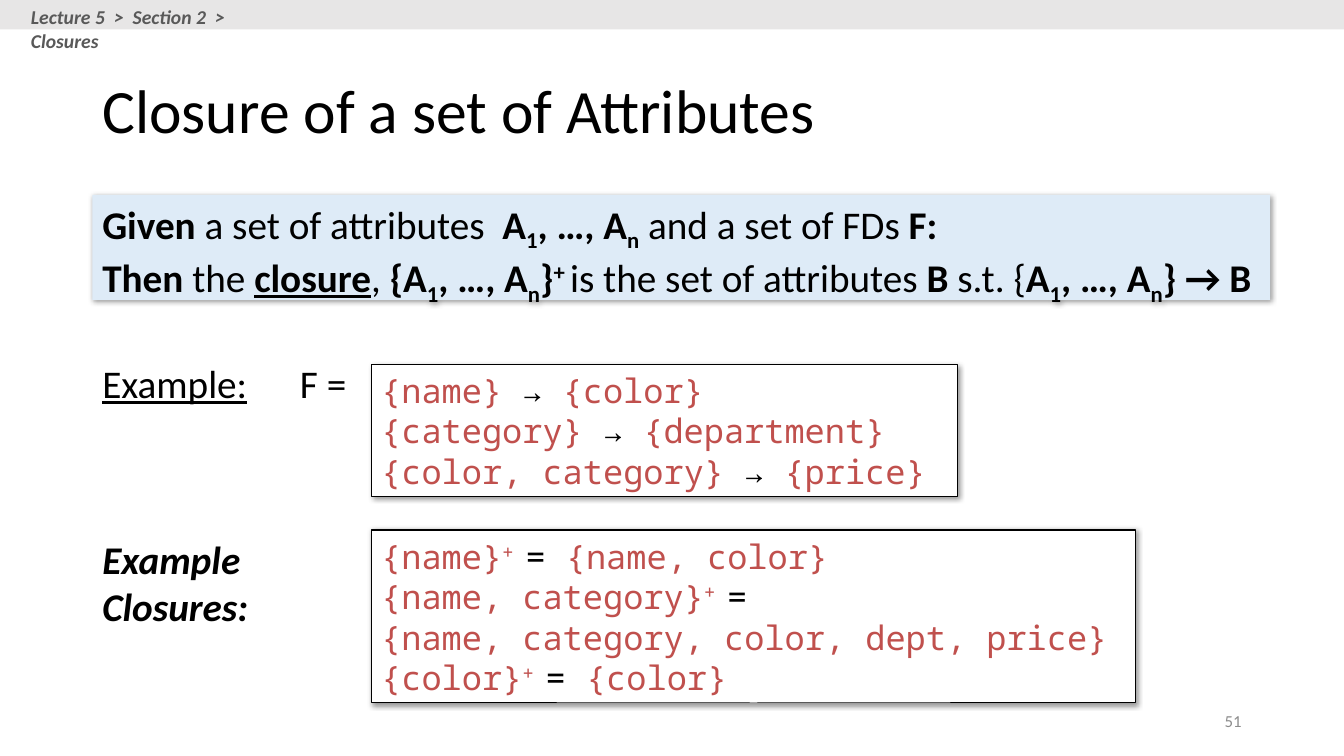
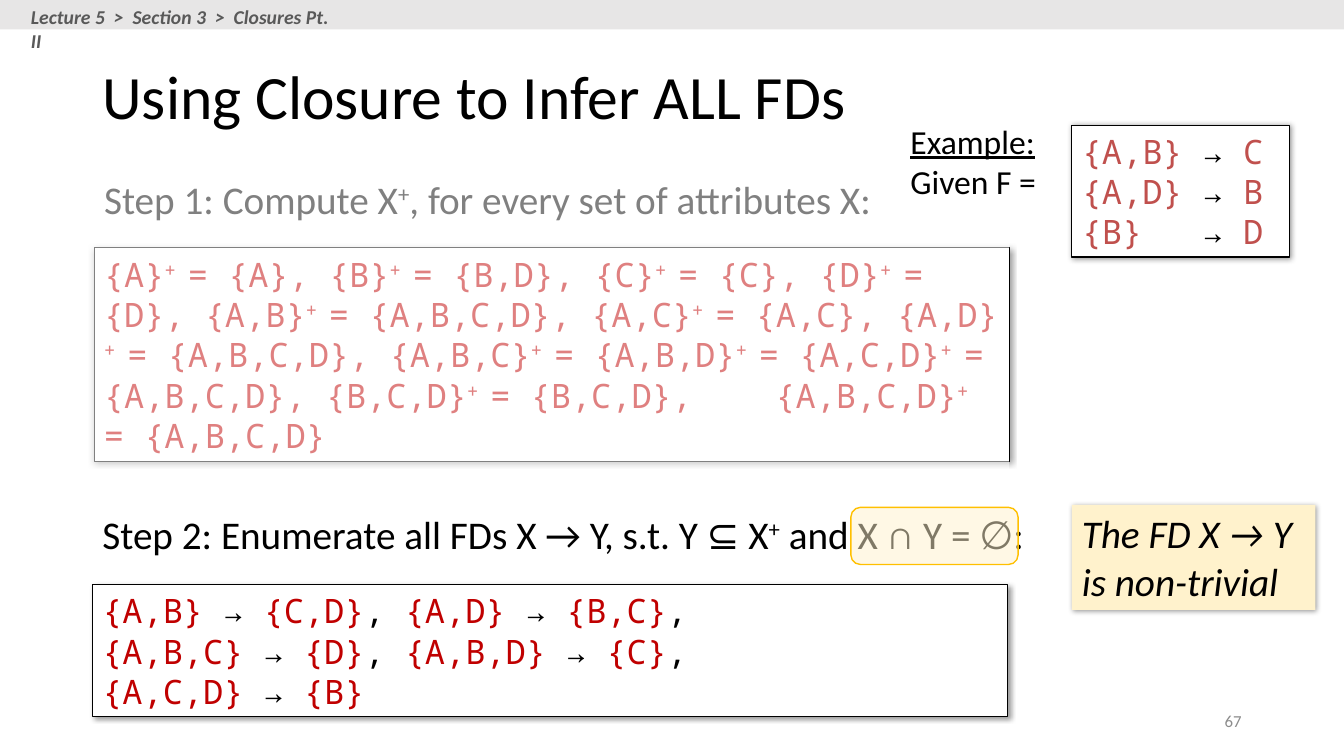
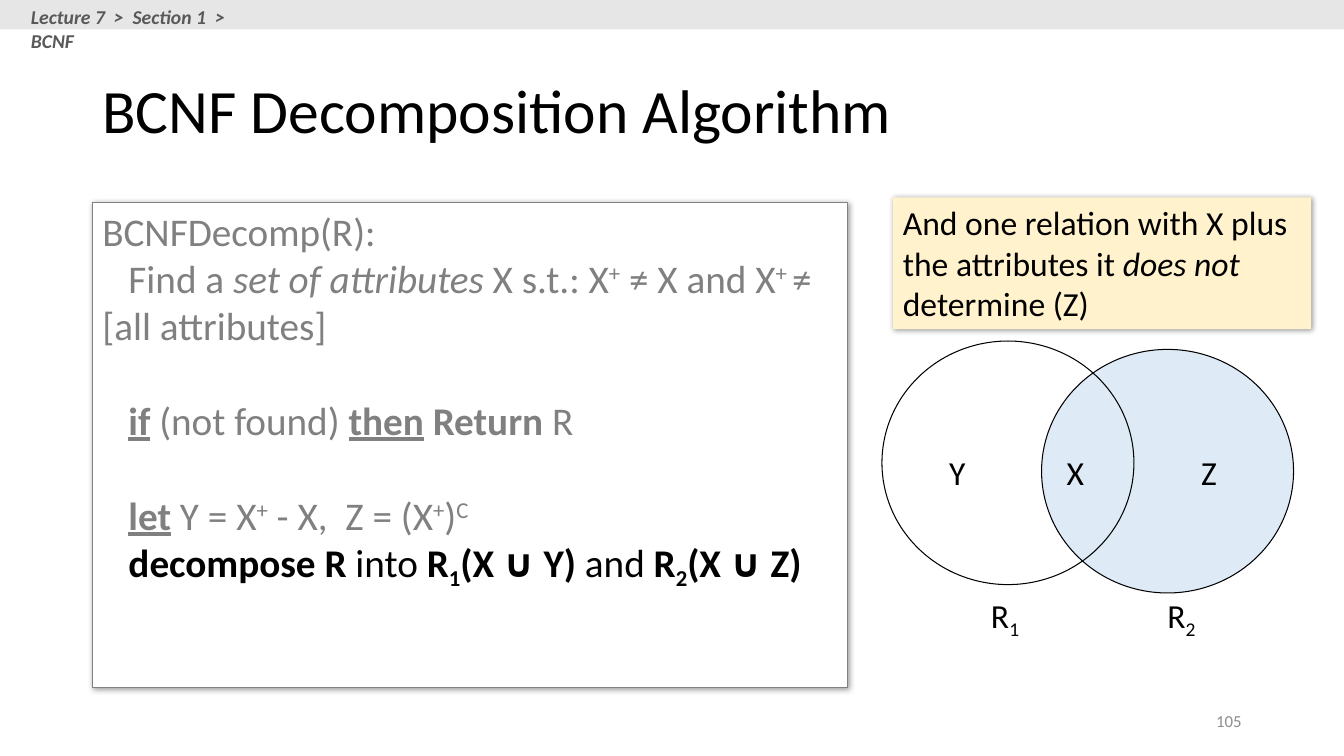
from dataclasses import dataclass
from typing import Iterator, Optional

import lxml.etree
import pptx
import pptx.dml.color
import pptx.enum.shapes
import pptx.enum.text
import pptx.oxml
import pptx.oxml.ns
import pptx.util

COLORS = {
    "black": "000000",
    "white": "FFFFFF",
    "band": "E7E6E6",
    "crumb": "595959",
    "number": "8C8C8C",
    "muted": "808080",
    "code": "C0504D",
    "result": "C00000",
    "definition": "DEEBF7",
    "note": "FFF2CC",
    "gold": "FFC000",
}
SANS = "Calibri"
MONO = "Noto Sans Mono"
COLUMNS, ROWS = 160, 90
WIDTH, HEIGHT = pptx.util.Inches(13.33), pptx.util.Inches(7.5)
MARGIN = 11
CODE_LEFT = 44.2
ASIDE_LEFT = 127.6
INDENT = pptx.util.Inches(0.26)
BLANK_LINE = 34
SPACE_SHARE = 0.225

RECT = pptx.enum.shapes.MSO_SHAPE.RECTANGLE
ROUND = pptx.enum.shapes.MSO_SHAPE.ROUNDED_RECTANGLE
OVAL = pptx.enum.shapes.MSO_SHAPE.OVAL
TOP = pptx.enum.text.MSO_ANCHOR.TOP
MIDDLE = pptx.enum.text.MSO_ANCHOR.MIDDLE
LEFT = pptx.enum.text.PP_ALIGN.LEFT
RIGHT = pptx.enum.text.PP_ALIGN.RIGHT

BOLD, ITALIC, UNDERLINE, SUPER, SUB, ACCENT, WIDE = "*/~^_|%"
TOGGLES = {BOLD, ITALIC, UNDERLINE, SUPER, SUB, ACCENT, WIDE}


@dataclass(frozen=True)
class Line:
    markup: str
    indented: bool = False
    before: float = 0
    tab: float = 0


@dataclass(frozen=True)
class Box:
    left: float
    top: float
    width: float
    height: float
    lines: tuple[Line, ...] = ()
    size: float = 28
    font: str = SANS
    color: str = "black"
    accent: str = "black"
    fill: Optional[str] = None
    opacity: int = 100
    border: Optional[str] = None
    border_width: float = 0.75
    shape: Optional[int] = None
    shadow: bool = False
    anchor: int = TOP
    align: int = LEFT


@dataclass(frozen=True)
class Page:
    title: str
    title_top: float
    trail: tuple[str, ...]
    trail_width: float
    number: str
    boxes: tuple[Box, ...]


def spans(markup: str) -> Iterator[tuple[str, frozenset]]:
    active, text = frozenset(), ""
    for letter in markup:
        if letter in TOGGLES:
            if text:
                yield text, active
            active, text = active ^ {letter}, ""
        else:
            text += letter
    if text:
        yield text, active


def rgb(name: str) -> pptx.dml.color.RGBColor:
    return pptx.dml.color.RGBColor.from_string(COLORS[name])


def area(left: float, top: float, width: float, height: float) -> tuple[int, ...]:
    return (int(WIDTH * left / COLUMNS), int(HEIGHT * top / ROWS),
            int(WIDTH * width / COLUMNS), int(HEIGHT * height / ROWS))


def add_child(parent, tag: str, **attributes):
    child = lxml.etree.SubElement(parent, pptx.oxml.ns.qn(tag))
    for name, value in attributes.items():
        child.set(name, str(value))
    return child


def add_shadow(shape) -> None:
    effects = shape._element.spPr.find(pptx.oxml.ns.qn("a:effectLst"))
    outer = add_child(effects, "a:outerShdw", blurRad=pptx.util.Pt(4),
                      dist=pptx.util.Pt(1), dir=45 * 60000, algn="tl", rotWithShape=0)
    color = add_child(outer, "a:srgbClr", val=COLORS["black"])
    add_child(color, "a:alpha", val=40000)


def write_line(para, line: Line, box: Box) -> None:
    properties = para._p.get_or_add_pPr()
    if line.indented:
        properties.set("marL", "0")
        properties.set("indent", str(INDENT))
    if line.tab:
        stops = add_child(properties, "a:tabLst")
        add_child(stops, "a:tab", pos=pptx.util.Inches(line.tab), algn="l")
    para.alignment = box.align
    if line.before:
        para.space_before = pptx.util.Pt(line.before)
    para.font.name = box.font
    para.font.size = pptx.util.Pt(box.size)
    for text, style in spans(line.markup):
        span = para.add_run()
        span.text = text
        span.font.color.rgb = rgb(box.accent if ACCENT in style else box.color)
        if BOLD in style:
            span.font.bold = True
        if ITALIC in style:
            span.font.italic = True
        if UNDERLINE in style:
            span.font.underline = True
        run_properties = span._r.get_or_add_rPr()
        if SUPER in style:
            run_properties.set("baseline", "30000")
        if SUB in style:
            run_properties.set("baseline", "-25000")
        if WIDE in style:
            run_properties.set("spc", str(round(box.size * SPACE_SHARE * 100)))


def draw_box(slide, box: Box) -> None:
    place = area(box.left, box.top, box.width, box.height)
    if box.shape is None:
        shape = slide.shapes.add_textbox(*place)
    else:
        shape = slide.shapes.add_shape(box.shape, *place)
        shape.shadow.inherit = False
        if box.fill:
            shape.fill.solid()
            shape.fill.fore_color.rgb = rgb(box.fill)
            if box.opacity < 100:
                color = shape._element.spPr.find(".//" + pptx.oxml.ns.qn("a:srgbClr"))
                add_child(color, "a:alpha", val=box.opacity * 1000)
        else:
            shape.fill.background()
        if box.border:
            shape.line.color.rgb = rgb(box.border)
            shape.line.width = pptx.util.Pt(box.border_width)
        else:
            shape.line.fill.background()
        if box.shadow:
            add_shadow(shape)
    frame = shape.text_frame
    frame.word_wrap = True
    frame.vertical_anchor = box.anchor
    for index, line in enumerate(box.lines):
        para = frame.add_paragraph() if index else frame.paragraphs[0]
        write_line(para, line, box)


def label(left: float, top: float, width: float, height: float,
          *markups: str, size: float = 28) -> Box:
    return Box(left, top, width, height, tuple(map(Line, markups)), size)


def code(left: float, top: float, width: float, height: float,
         *lines: Line, color: str = "code") -> Box:
    return Box(left, top, width, height, lines, 24, MONO, color, fill="white",
               border="black", shape=RECT, shadow=True, anchor=MIDDLE)


def panel(left: float, top: float, width: float, height: float, fill: str,
          *markups: str, size: float = 28) -> Box:
    return Box(left, top, width, height, tuple(map(Line, markups)), size,
               fill=fill, shape=RECT, shadow=True)


def veil(left: float, top: float, width: float, height: float) -> Box:
    return Box(left, top, width, height, fill="white", opacity=50, shape=RECT)


def circle(left: float, top: float, fill: Optional[str] = None) -> Box:
    return Box(left, top, 30, 29, fill=fill, border="black", shape=OVAL)


def draw_page(deck, page: Page) -> None:
    slide = deck.slides.add_slide(deck.slide_layouts[5])
    title = slide.shapes.title
    title.left, title.top, title.width, title.height = area(MARGIN, page.title_top, 138, 17.4)
    frame = title.text_frame
    frame.auto_size = pptx.enum.text.MSO_AUTO_SIZE.NONE
    frame.vertical_anchor = MIDDLE
    para = frame.paragraphs[0]
    para.line_spacing = 0.9
    write_line(para, Line(page.title), Box(0, 0, 0, 0, size=44))
    trail = "% %>% %".join(page.trail)
    furniture = (
        Box(0, 0, COLUMNS, 3.5, fill="band", shape=RECT),
        Box(2.5, 0, page.trail_width, 4, (Line(f"*/{trail}"),), 14, color="crumb"),
        Box(113, 83.4, 36, 4.8, (Line(page.number),), 12, color="number",
            anchor=MIDDLE, align=RIGHT),
    )
    for box in page.boxes + furniture:
        draw_box(slide, box)


CLOSURE = Page(
    "Closure of a set of Attributes", 4.8, ("Lecture 5", "Section 2", "Closures"), 34.2, "51",
    (
        panel(MARGIN, 23.2, 140.2, 12.5, "definition",
              "*Given* a set of attributes% %*A_1_, …, A_n_* and a set of FDs *F:",
              "*Then *the *~closure~*, *{A_1_, …, A_n_}^+ ^*is the set of attributes "
              "*B *s.t. {*A_1_, …, A_n_} → B"),
        code(CODE_LEFT, 43.4, 69.8, 15.7,
             Line("{name} |→ |{color}"),
             Line("{category} |→ |{department}"),
             Line("{color, category} |→ |{price}")),
        Box(MARGIN, 42.2, 32, 6.8, (Line("~Example:~\tF =", tab=1.96),)),
        label(MARGIN, 63.1, 22.8, 12.5, "*/Example Closures:"),
        code(CODE_LEFT, 63.1, 91, 20.6,
             Line("{name}^+ ^|= |{name, color}"),
             Line("{name, category}^+ ^|="),
             Line("{name, category, color, dept, price}"),
             Line("{color}^+ ^|= |{color}")),
    ),
)

INFER = Page(
    "Using Closure to Infer ALL FDs", 3.2, ("Lecture 5", "Section 3", "Closures Pt. II"), 38.9, "67",
    (
        code(ASIDE_LEFT, 14.9, 25.9, 15.7,
             Line("{A,B} |→ |C"),
             Line("{A,D} |→| B"),
             Line("{B}\t|→| D", tab=1.2)),
        label(107.2, 13.8, 19, 10.9, "~Example:", "Given F =", size=24),
        code(11.2, 29.5, 109, 25.4,
             Line("{A}^+ ^= {A}, {B}^+ ^= {B,D}, {C}^+ ^= {C}, {D}^+ ^= {D}, "
                  "{A,B}^+ ^= {A,B,C,D}, {A,C}^+ ^= {A,C}, {A,D}^+ ^= {A,B,C,D}, "
                  "{A,B,C}^+ ^= {A,B,D}^+ ^= {A,C,D}^+ ^= {A,B,C,D}, "
                  "{B,C,D}^+ ^= {B,C,D},\t{A,B,C,D}^+ ^= {A,B,C,D}", tab=6.66),
             color="result"),
        veil(8.9, 28.7, 111.2, 27.8),
        label(MARGIN, 60.1, 114, 6.8,
              "Step 2: Enumerate all FDs X → Y, s.t. Y ⊆ X^+^ and X ∩ Y = ∅:"),
        code(MARGIN, 69.6, 109, 15.7,
             Line("{A,B} |→ |{C,D}|, |{A,D} |→ |{B,C}|,"),
             Line("{A,B,C} |→ |{D}|, |{A,B,D} |→ |{C}|,"),
             Line("{A,C,D} |→ |{B}"),
             color="result"),
        Box(101.3, 60.4, 19.9, 6.8, fill="note", opacity=50, border="gold",
            border_width=1, shape=ROUND),
        panel(ASIDE_LEFT, 60.1, 29, 12.5, "note", "/The FD X → Y is non-trivial"),
        label(11.2, 20.3, 95, 6.8, "Step 1: Compute X^+^, for every set of attributes X:"),
        veil(10.2, 19.7, 94.1, 8.3),
    ),
)

DECOMPOSITION = Page(
    "BCNF Decomposition Algorithm", 4.8, ("Lecture 7", "Section 1", "BCNF"), 31.3, "105",
    (
        Box(MARGIN, 24.1, 89.9, 57.7, (
            Line("BCNFDecomp(R):"),
            Line("Find a /set of attributes /X s.t.: X^+^ ≠ X and X^+ ^≠ [all attributes]",
                 indented=True),
            Line("*~if~* (not found) *~then~* *Return* R", indented=True, before=BLANK_LINE),
            Line("*~let~* Y = X^+^ - X,% %Z = (X^+^)^C", indented=True, before=BLANK_LINE),
            Line("|*decompose R* into *R_1_(X ∪ Y) *and *R_2_(X ∪ Z)", indented=True),
        ), color="muted", fill="white", border="muted", shape=RECT, shadow=True),
        circle(124, 41.6, "definition"),
        *(label(left, 53.2, 4.6, 6, name, size=24)
          for left, name in ((111.8, "Y"), (125.8, "X"), (141.8, "Z"))),
        *(label(left, 70.2, 6, 6, name, size=24)
          for left, name in ((116.8, "R_1"), (137.8, "R_2"))),
        panel(106.3, 23.5, 49.8, 15.7, "note",
              "And one relation with X plus the attributes it /does not /determine (Z)", size=24),
        circle(105, 40.6),
    ),
)


def main() -> None:
    deck = pptx.Presentation()
    deck.slide_width, deck.slide_height = WIDTH, HEIGHT
    for page in (CLOSURE, INFER, DECOMPOSITION):
        draw_page(deck, page)
    deck.save("out.pptx")


if __name__ == "__main__":
    main()
